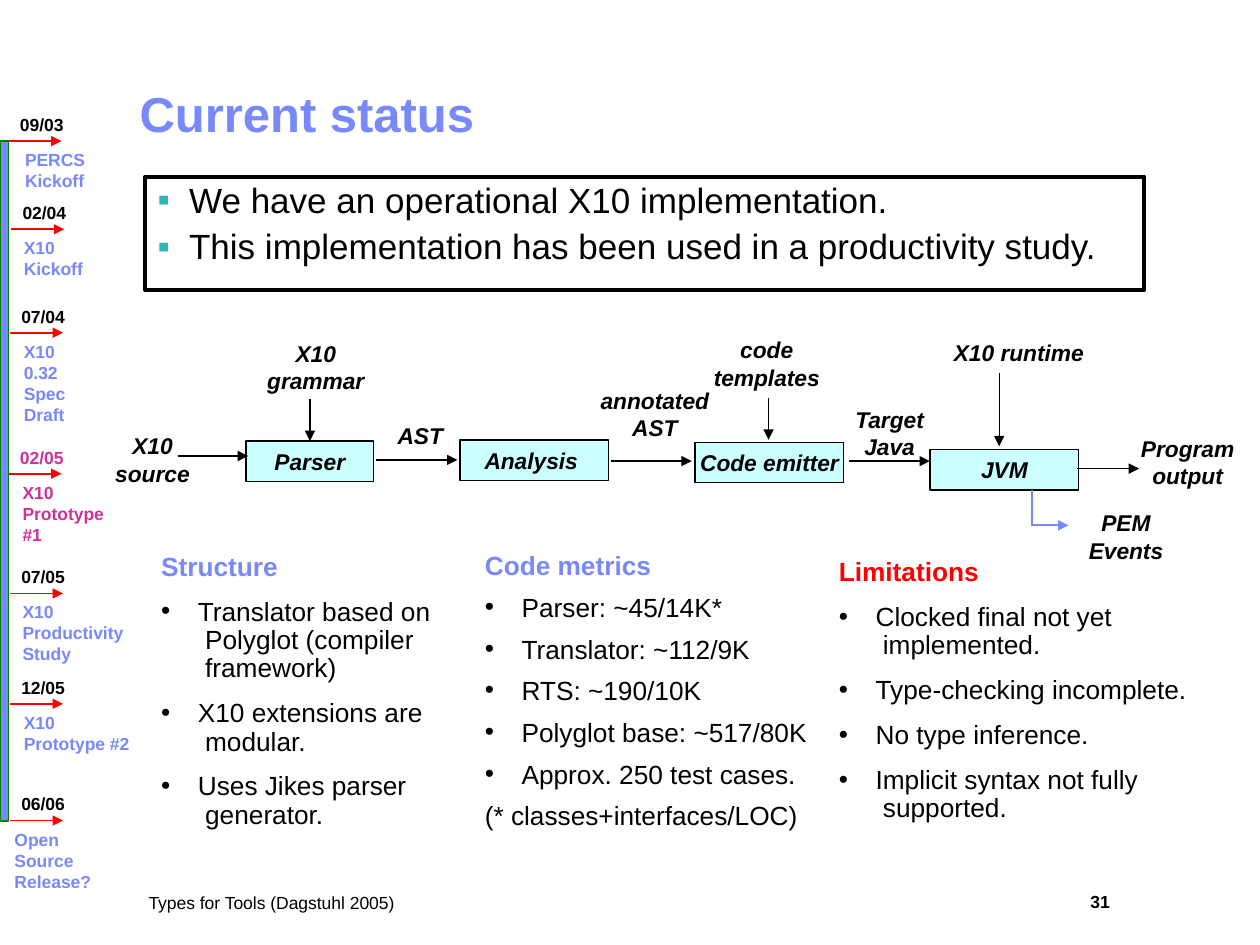
from copy import deepcopy
from lxml import etree
from pptx import Presentation
from pptx.dml.color import RGBColor
from pptx.enum import shapes, text
from pptx.oxml import ns
from pptx.util import Pt

COLORS = {"black": "000000", "violet": "7889FB", "red": "FF0000", "pink": "CC3399",
          "cyan": "CCFFFF", "green": "008000", "teal": "2DB6B3"}
RGB = {name: RGBColor.from_string(value) for name, value in COLORS.items()}
LEFT, CENTER = text.PP_ALIGN.LEFT, text.PP_ALIGN.CENTER
RECT = shapes.MSO_SHAPE.RECTANGLE

prs = Presentation()
prs.slide_width, prs.slide_height = Pt(720), Pt(540)
s = prs.slides.add_slide(prs.slide_layouts[6])


def write(sp, lines, size, color="black", bold=False, italic=False, align=LEFT,
          bullet=None, bullet_color="black", indent=0, gap=0, spacing=1):
    tf = sp.text_frame
    tf.word_wrap = True
    tf.vertical_anchor = text.MSO_ANCHOR.TOP
    tf.text = "\n".join(lines)
    for i, p in enumerate(tf.paragraphs):
        p.alignment = align
        p.line_spacing = spacing
        if i:
            p.space_before = Pt(gap)
        if bullet:
            pPr = p._p.get_or_add_pPr()
            pPr.set("marL", str(Pt(indent)))
            pPr.set("indent", str(-Pt(indent)))
            clr = etree.SubElement(pPr, ns.qn("a:buClr"))
            etree.SubElement(clr, ns.qn("a:srgbClr"), val=COLORS[bullet_color])
            etree.SubElement(pPr, ns.qn("a:buFont"), typeface="Arial")
            etree.SubElement(pPr, ns.qn("a:buChar"), char=bullet)
        for r in p.runs:
            r.font.name, r.font.size = "Arial", Pt(size)
            r.font.bold, r.font.italic = bold, italic
            r.font.color.rgb = RGB[color]
        for br in p._p.findall(ns.qn("a:br")):
            br.insert(0, deepcopy(p.runs[0]._r.rPr))
    return tf


def connect(x1, y1, x2, y2, color="black", width=0.75, arrow=True):
    c = s.shapes.add_connector(shapes.MSO_CONNECTOR.STRAIGHT, Pt(x1), Pt(y1), Pt(x2), Pt(y2))
    c.line.color.rgb = RGB[color]
    c.line.width = Pt(width)
    if arrow:
        etree.SubElement(c.line._get_or_add_ln(), ns.qn("a:tailEnd"), type="triangle")
    etree.SubElement(c._element.spPr, ns.qn("a:effectLst"))


title = s.shapes.add_textbox(Pt(72.7), Pt(-5), Pt(612), Pt(90))
tf = write(title, ["Current status"], 28, "violet", bold=True, spacing=0.9)
tf.vertical_anchor = text.MSO_ANCHOR.BOTTOM

summary = s.shapes.add_shape(RECT, Pt(83), Pt(101), Pt(571), Pt(64.8))
summary.shadow.inherit = False
summary.fill.background()
summary.line.color.rgb = RGB["black"]
summary.line.width = Pt(2.25)
tf = write(summary, ["We have an operational X10 implementation.",
                     "This implementation has been used in a productivity study."],
           20, bullet="▪", bullet_color="teal", indent=18, gap=2.5, spacing=0.9)
for p in tf.paragraphs:
    p.space_after = Pt(2.5)

stages = [("Parser", 140.5, 252, 73), ("Analysis ", 262.8, 251.5, 85),
          ("Code emitter", 397.2, 252.7, 85), ("JVM", 531.4, 257, 85)]
for name, x, y, w in stages:
    sp = s.shapes.add_shape(RECT, Pt(x), Pt(y), Pt(w), Pt(23))
    sp.shadow.inherit = False
    sp.fill.solid()
    sp.fill.fore_color.rgb = RGB["cyan"]
    sp.line.color.rgb = RGB["black"]
    sp.line.width = Pt(0.75)
    tf = write(sp, [name], 13, bold=True, italic=True, align=CENTER)
    tf.vertical_anchor = text.MSO_ANCHOR.MIDDLE
    tf.word_wrap = False

flow_labels = [("X10 source", 58.3, 243.4, 57.6), ("AST", 209.5, 237.6, 61.2),
               ("code templates", 394.6, 188.6, 87), ("annotated AST", 327, 217.4, 94.3),
               ("X10 grammar", 141.5, 190.5, 77.8), ("Target Java", 474.5, 228.2, 67.7),
               ("X10 runtime", 531.4, 190, 101.5), ("Program output", 637.2, 244.8, 82.8),
               ("PEM Events", 611, 287.3, 64.8)]
for name, x, y, w in flow_labels:
    sp = s.shapes.add_textbox(Pt(x), Pt(y), Pt(w), Pt(23 if name in ("AST", "X10 runtime") else 39))
    write(sp, [name], 13, bold=True, italic=True, align=CENTER)

for x1, x2, y in [(101.5, 141.8, 260.6), (214.6, 261.4, 262.8), (349.2, 395.3, 263.5),
                  (485.3, 531.4, 263.5), (615.6, 650.9, 267.8)]:
    connect(x1, y, x2, y)
for x, y1, y2 in [(177.1, 228.2, 252), (439.2, 227.5, 251.3), (571, 213, 255)]:
    connect(x, y1, x, y2)
connect(589.7, 280, 589.7, 300.6, "violet", 1, arrow=False)
connect(589.7, 300.2, 610.6, 300.2, "violet", 1)

columns = [
    (85, 311, 188, "Structure", "violet", 0.9,
     ["Translator based on\v Polyglot (compiler\v framework)",
      "X10 extensions are\v modular.", "Uses Jikes parser\v generator."]),
    (270, 310.3, 224, "Code metrics", "violet", 0.8,
     ["Parser: ~45/14K*", "Translator: ~112/9K", "RTS: ~190/10K",
      "Polyglot base: ~517/80K", "Approx. 250 test cases.", "(* classes+interfaces/LOC)"]),
    (472.3, 314, 224, "Limitations", "red", 0.9,
     ["Clocked final not yet\v implemented.", "Type-checking incomplete.",
      "No type inference.", "Implicit syntax not fully\v supported."]),
]
for x, y, w, heading, color, spacing, items in columns:
    sp = s.shapes.add_textbox(Pt(x), Pt(y), Pt(w), Pt(167))
    tf = write(sp, [heading] + items, 15, bullet="•", indent=21, gap=9.4, spacing=spacing)
    plain = [p for p in tf.paragraphs if p.text == heading or p.text.startswith("(")]
    for p in plain:
        pPr = p._p.pPr
        pPr.set("marL", "0")
        pPr.set("indent", "0")
        for tag in ("a:buClr", "a:buFont", "a:buChar"):
            pPr.remove(pPr.find(ns.qn(tag)))
        etree.SubElement(pPr, ns.qn("a:buNone"))
    head = tf.paragraphs[0]
    head.line_spacing = 1
    head.runs[0].font.bold = True
    head.runs[0].font.color.rgb = RGB[color]

bar = s.shapes.add_shape(RECT, Pt(0), Pt(80.6), Pt(5), Pt(388.8))
bar.shadow.inherit = False
bar.fill.solid()
bar.fill.fore_color.rgb = RGB["violet"]
bar.line.color.rgb = RGB["green"]
bar.line.width = Pt(1)

milestones = [("09/03", "PERCS Kickoff", 5, 80.6, 7.2, 54),
              ("02/04", "X10 Kickoff", 6.5, 131, 6.5, 54),
              ("07/04", "X10 0.32 Spec Draft", 5.8, 190.1, 6.5, 54),
              ("02/05", "X10 Prototype #1", 5, 270.7, 5.8, 64),
              ("07/05", "X10 Productivity Study", 5.8, 339.1, 5.8, 73),
              ("12/05", "X10 Prototype #2", 5.8, 402.2, 6.5, 75.6),
              ("06/06", "Open Source Release?", 5.8, 468.9, 1.2, 75.6)]
for date, event, x, y, event_x, w in milestones:
    current = date == "02/05"
    connect(x, y, x + 30.2, y, "red", 1)
    sp = s.shapes.add_textbox(Pt(x - 0.7), Pt(y - 19), Pt(52), Pt(19))
    write(sp, [date], 10, "pink" if current else "black", bold=True)
    sp = s.shapes.add_textbox(Pt(event_x), Pt(y + 1), Pt(w), Pt(43))
    write(sp, [event], 10, "pink" if current else "violet", bold=True)

footer = s.shapes.add_textbox(Pt(77.8), Pt(506.2), Pt(512), Pt(19.4))
write(footer, ["Types for Tools (Dagstuhl 2005)"], 10)
number = s.shapes.add_textbox(Pt(616), Pt(505.4), Pt(79), Pt(25))
write(number, ["31"], 10, bold=True)

prs.save("out.pptx")
